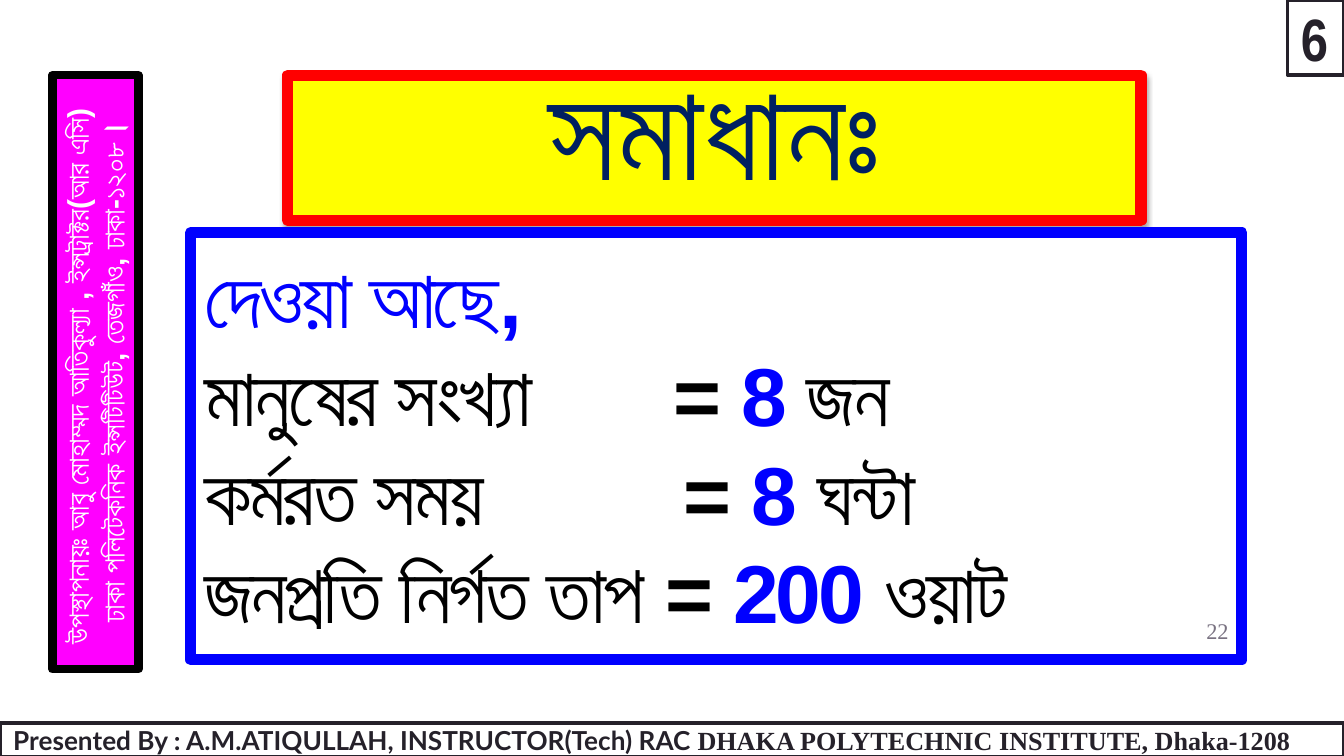
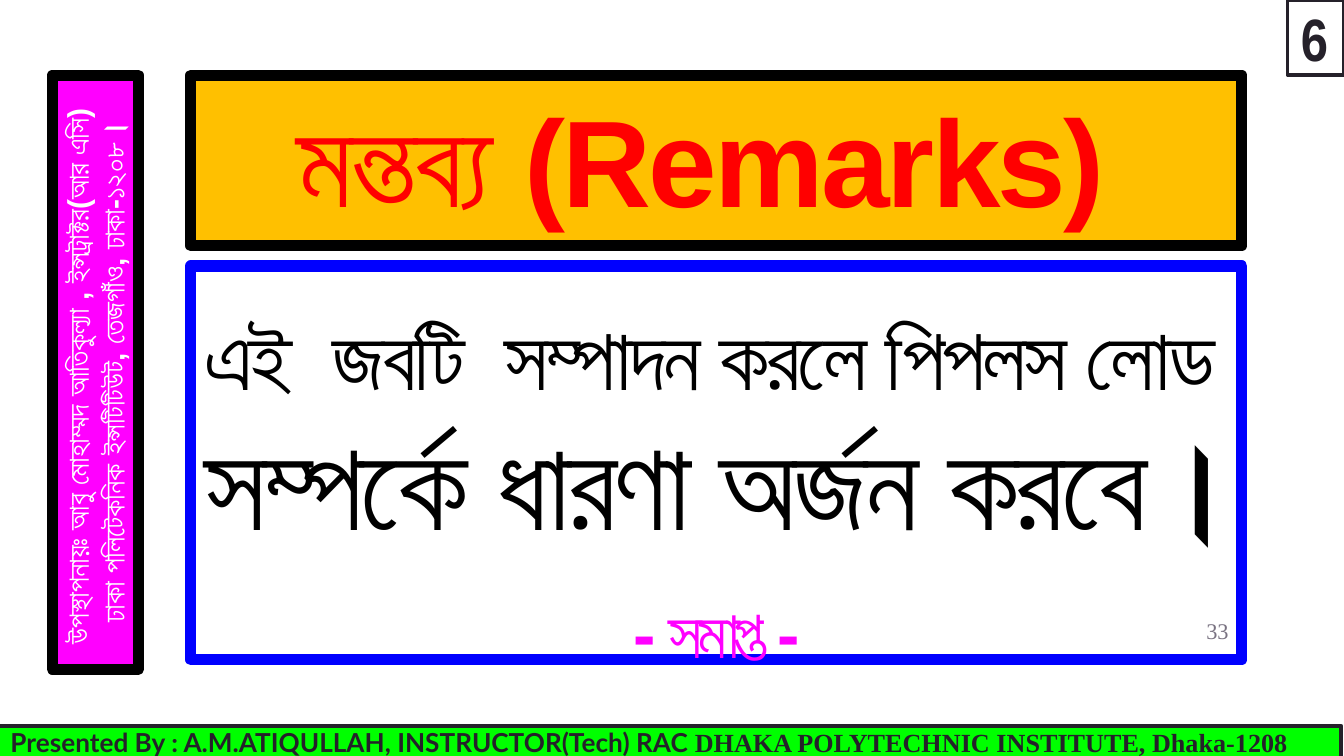
from lxml import etree
from pptx import Presentation
from pptx import util as u
from pptx.dml.color import RGBColor
from pptx.enum import shapes, text
from pptx.oxml.ns import qn

INK, BLACK, WHITE = "25212A", "000000", "FFFFFF"
BLUE, RED, MAGENTA = "0000FF", "FF0000", "FF00FF"
MIDDLE, BOTTOM, TOP = text.MSO_ANCHOR.MIDDLE, text.MSO_ANCHOR.BOTTOM, text.MSO_ANCHOR.TOP
CENTER, RIGHT = text.PP_ALIGN.CENTER, text.PP_ALIGN.RIGHT

BODY_X, BODY_W, BODY_BOTTOM = 1.42, 7.82, 4.91

SIDEBAR = ["উপস্থাপনায়ঃ আবু মোহাম্মদ আতিকুল্যা , ইন্সট্রাক্টর(আর এসি) ",
           "ঢাকা পলিটেকনিক ইন্সটিটিউট, তেজগাঁও, ঢাকা-১২০৮।"]
FOOTER = [("Presented By : A.M.ATIQULLAH, INSTRUCTOR(Tech) RAC ", {"name": "Lato"}),
          ("DHAKA POLYTECHNIC INSTITUTE, Dhaka-1208", {"name": "Times New Roman"})]


def rgb(value):
    return RGBColor.from_string(value)


def add_box(s, box, paragraphs, base, fill=None, line=None, anchor=TOP,
            align=None, inset=(0.1, 0.1, 0.1, 0.1)):
    """Add a rectangle, or a text box if it has no line; paragraphs are lists of (text, format)."""
    pos = [u.Inches(v) for v in box]
    if line:
        sp = s.shapes.add_shape(shapes.MSO_SHAPE.RECTANGLE, *pos)
        sp.shadow.inherit = False
        sp.line.color.rgb, sp.line.width = rgb(line[0]), u.Pt(line[1])
    else:
        sp = s.shapes.add_textbox(*pos)
    if fill:
        sp.fill.solid()
        sp.fill.fore_color.rgb = rgb(fill)
    else:
        sp.fill.background()
    tf = sp.text_frame
    tf.word_wrap, tf.vertical_anchor = True, anchor
    for side, value in zip(("left", "top", "right", "bottom"), inset):
        setattr(tf, f"margin_{side}", u.Inches(value))
    for i, runs in enumerate(paragraphs):
        p = tf.add_paragraph() if i else tf.paragraphs[0]
        p.alignment = align or text.PP_ALIGN.LEFT
        for words, extra in runs:
            r = p.add_run()
            r.text = words
            fmt = {"bold": True, **base, **extra}
            r.font.color.rgb = rgb(fmt.pop("color"))
            r.font.size = u.Pt(fmt.pop("size"))
            spacing = fmt.pop("spacing", 0)
            if spacing:
                r.font._element.set("spc", str(int(spacing * 100)))
            for key, value in fmt.items():
                setattr(r.font, key, value)
    return sp


prs = Presentation()
prs.slide_width = u.Inches(10)
prs.slide_height = prs.slide_width * 9 // 16
solution, remarks = [prs.slides.add_slide(prs.slide_layouts[6]) for _ in range(2)]

# Solution: title and given values
title = add_box(solution, (2.14, 0.56, 6.35, 1.08), [[("সমাধানঃ", {})]],
                {"name": "Arial", "size": 72, "color": "002060"},
                "FFFF00", (RED, 6), BOTTOM, CENTER)
effects = title._element.spPr.find(qn("a:effectLst"))
shadow = etree.SubElement(effects, qn("a:outerShdw"), blurRad="40000", dist="23000",
                          dir="5400000", rotWithShape="0")
shade = etree.SubElement(shadow, qn("a:srgbClr"), val=BLACK)
etree.SubElement(shade, qn("a:alpha"), val="35000")

given = [("মানুষের সংখ্যা", 3.49, "8", "জন"),
         ("কর্মরত সময়", 3.57, "8", "ঘন্টা"),
         ("জনপ্রতি নির্গত তাপ", 3.43, "200", "ওয়াট")]
lines = [[("দেওয়া আছে,", {"color": BLUE})]]
for label, equals_at, amount, unit in given:
    lines.append([(f"{label}\t= ", {}), (f"{amount} ", {"color": BLUE}), (unit, {})])
body = add_box(solution, (BODY_X, 1.73, BODY_W, BODY_BOTTOM - 1.73), lines,
               {"name": "Arial", "size": 44, "color": BLACK, "spacing": -1.5},
               line=(BLUE, 6))
for p, (label, equals_at, amount, unit) in zip(body.text_frame.paragraphs[1:], given):
    tabs = etree.SubElement(p._p.get_or_add_pPr(), qn("a:tabLst"))
    etree.SubElement(tabs, qn("a:tab"), pos=str(u.Inches(equals_at)), algn="l")

# Remarks: title and closing statement
add_box(remarks, (BODY_X, 0.56, BODY_W, 1.27), [[("মন্তব্য (Remarks) ", {})]],
        {"name": "Arial", "size": 66, "color": RED, "spacing": -1.5},
        "FFC000", (BLACK, 6), BOTTOM, CENTER)
body = add_box(remarks, (BODY_X, 1.98, BODY_W, BODY_BOTTOM - 1.98),
               [[("এই  জবটি  সম্পাদন করলে পিপলস লোড", {"size": 46.5})],
                [("সম্পর্কে ধারণা অর্জন করবে।", {"size": 66})],
                [("- সমাপ্ত -", {"size": 36, "color": MAGENTA, "spacing": -3})]],
               {"name": "Arial", "color": BLACK, "spacing": -1.5},
               line=(BLUE, 6), inset=(0.1, 0.28, 0.1, 0.1))
ending = body.text_frame.paragraphs[-1]
ending.alignment, ending.space_before = CENTER, u.Pt(19)

# Shared frame: slide number, sidebar, footer and job number
for s, number, side_line, footer_at, footer_fill in [
        (solution, "22", 4.5, (0, 5.38), WHITE),
        (remarks, "33", 6, (-0.02, 5.4), "00FF00")]:
    add_box(s, (8.64, 4.48, 0.6, 0.43), [[(number, {})]],
            {"name": "Times New Roman", "size": 12, "color": "797281", "bold": False},
            anchor=MIDDLE, align=RIGHT)
    sidebar = add_box(s, (-1.5, 2.45, 4.42, 0.64), [[(words, {})] for words in SIDEBAR],
                      {"name": "Arial", "size": 16, "color": WHITE},
                      MAGENTA, (BLACK, side_line), align=CENTER,
                      inset=(0.1, 0.05, 0.1, 0.05))
    sidebar.rotation = 270
    sidebar.text_frame.auto_size = text.MSO_AUTO_SIZE.SHAPE_TO_FIT_TEXT
    add_box(s, (*footer_at, 10, 0.25), [FOOTER], {"size": 14, "color": INK},
            footer_fill, (INK, 2), MIDDLE, inset=(0.1, 0.05, 0.1, 0.05))
    add_box(s, (9.58, 0, 0.42, 0.56), [[("6", {})]],
            {"name": "Arial Narrow", "size": 32, "color": INK, "spacing": -3},
            WHITE, (INK, 2), MIDDLE)

prs.save("out.pptx")
